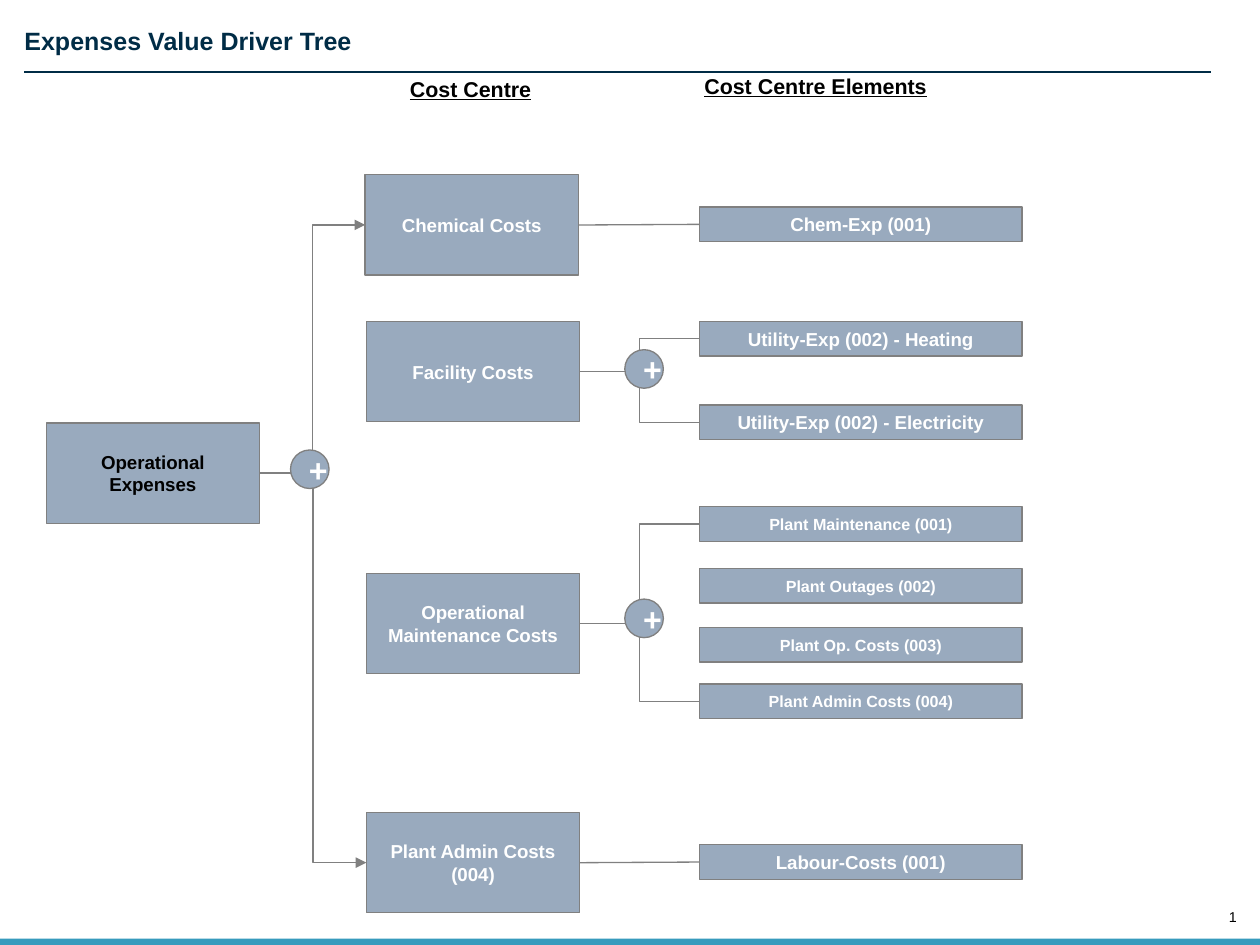
from pptx import Presentation
from pptx.dml.color import RGBColor
from pptx.enum.shapes import MSO_CONNECTOR, MSO_SHAPE
from pptx.enum.text import MSO_ANCHOR, PP_ALIGN
from pptx.oxml.ns import qn
from pptx.util import Inches, Pt
from lxml import etree

RECTANGLE, OVAL = MSO_SHAPE.RECTANGLE, MSO_SHAPE.OVAL
STRAIGHT, ELBOW = MSO_CONNECTOR.STRAIGHT, MSO_CONNECTOR.ELBOW
LEFT, CENTER, RIGHT = PP_ALIGN.LEFT, PP_ALIGN.CENTER, PP_ALIGN.RIGHT
TOP, MIDDLE, BOTTOM = MSO_ANCHOR.TOP, MSO_ANCHOR.MIDDLE, MSO_ANCHOR.BOTTOM

# Content
TITLE = "Expenses Value Driver Tree"
PAGE_NUMBER = "1"
HEADINGS = [("Cost Centre", 3.09, 0.54, 1.96), ("Cost Centre Elements", 5.38, 0.52, 2.19)]
ROOT = ("Operational Expenses", 0.36, 3.29)
# Cost centre: name, left, top, element type size, elements as (name, top)
COST_CENTRES = [
    ("Chemical Costs", 2.84, 1.36, "box", [("Chem-Exp (001)", 1.61)]),
    ("Facility Costs", 2.85, 2.5, "box", [
        ("Utility-Exp (002) - Heating", 2.5),
        ("Utility-Exp (002) - Electricity", 3.15)]),
    ("Operational Maintenance Costs", 2.85, 4.46, "small", [
        ("Plant Maintenance (001)", 3.94),
        ("Plant Outages (002)", 4.42),
        ("Plant Op. Costs (003)", 4.88),
        ("Plant Admin Costs (004)", 5.32)]),
    ("Plant Admin Costs (004)", 2.85, 6.32, "box", [("Labour-Costs (001)", 6.57)]),
]
PLUS_SIGNS = [(2.26, 3.5), (4.86, 2.72), (4.86, 4.66)]

# Layout and theme
SLIDE_WIDTH, SLIDE_HEIGHT = 9.8, 7.35
CENTRE_SIZE, ELEMENT_SIZE, PLUS_SIZE = (1.66, 0.78), (2.51, 0.27), (0.3, 0.3)
ELEMENT_LEFT = 5.44
LEFT_SITE, RIGHT_SITE = 1, 3
THEME = {
    "font": "Arial",
    "colors": {"navy": "002C46", "teal": "379BBD", "box": "99AABE",
               "line": "808080", "white": "FFFFFF", "black": "000000"},
    "sizes": {"title": 14, "heading": 12, "box": 10.5, "small": 9, "plus": 18, "page": 8},
    "line_width": 0.75,
}


def color(name):
    return RGBColor.from_string(THEME["colors"][name])


def write(shape, text, size, color_name, align=CENTER, anchor=MIDDLE,
          bold=True, underline=False, inset=True):
    frame = shape.text_frame
    frame.word_wrap = True
    frame.vertical_anchor = anchor
    if not inset:
        frame.margin_left = frame.margin_right = frame.margin_top = frame.margin_bottom = 0
    paragraph = frame.paragraphs[0]
    paragraph.alignment = align
    run = paragraph.add_run()
    run.text = text
    run.font.name = THEME["font"]
    run.font.size = Pt(THEME["sizes"][size])
    run.font.bold = bold
    if underline:
        run.font.underline = True
    run.font.color.rgb = color(color_name)


def add_text(slide, area, *content, **style):
    box = slide.shapes.add_textbox(*map(Inches, area))
    write(box, *content, **style)


def add_node(slide, kind, position, size, text, type_size, text_color="white"):
    shape = slide.shapes.add_shape(kind, *map(Inches, position + size))
    shape.shadow.inherit = False
    shape.fill.solid()
    shape.fill.fore_color.rgb = color("box")
    shape.line.color.rgb = color("line")
    shape.line.width = Pt(THEME["line_width"])
    write(shape, text, type_size, text_color)
    return shape


def add_line(slide, kind, start, end, color_name):
    connector = slide.shapes.add_connector(kind, *map(Inches, start + end))
    connector.line.color.rgb = color(color_name)
    connector.line.width = Pt(THEME["line_width"])
    etree.SubElement(connector._element.spPr, qn("a:effectLst"))
    return connector


def link(slide, kind, parent, child, arrow=False):
    connector = add_line(slide, kind, (0, 0), (0, 0), "line")
    connector.begin_connect(parent, RIGHT_SITE)
    connector.end_connect(child, LEFT_SITE)
    if arrow:
        line = connector.line._get_or_add_ln()
        etree.SubElement(line, qn("a:tailEnd"), type="triangle")


def add_frame(slide):
    add_text(slide, (0.19, 0.2, 9.56, 0.24), TITLE, "title", "navy",
             align=LEFT, anchor=TOP, inset=False)
    add_line(slide, STRAIGHT, (0.19, 0.56), (9.42, 0.56), "navy")
    for text, left, top, width in HEADINGS:
        add_text(slide, (left, top, width, 0.3), text, "heading", "black",
                 align=LEFT, anchor=TOP, underline=True)
    add_text(slide, (9.42, 7.07, 0.2, 0.13), PAGE_NUMBER, "page", "black",
             align=RIGHT, anchor=BOTTOM, bold=False, inset=False)
    bar = slide.shapes.add_shape(RECTANGLE, 0, Inches(7.3), Inches(SLIDE_WIDTH), Inches(0.05))
    bar.shadow.inherit = False
    bar.fill.solid()
    bar.fill.fore_color.rgb = color("teal")
    bar.line.fill.background()


def add_tree(slide):
    name, left, top = ROOT
    root = add_node(slide, RECTANGLE, (left, top), CENTRE_SIZE, name, "box", "black")
    for index, (name, left, top, type_size, elements) in enumerate(COST_CENTRES):
        centre = add_node(slide, RECTANGLE, (left, top), CENTRE_SIZE, name, "box")
        # The root branches to the first and last cost centre
        if index in (0, len(COST_CENTRES) - 1):
            link(slide, ELBOW, root, centre, arrow=True)
        nodes = [add_node(slide, RECTANGLE, (ELEMENT_LEFT, element_top), ELEMENT_SIZE,
                          element, type_size) for element, element_top in elements]
        # A group of elements is bracketed by its first and last member
        if len(nodes) == 1:
            link(slide, STRAIGHT, centre, nodes[0])
        else:
            for node in (nodes[0], nodes[-1]):
                link(slide, ELBOW, centre, node)
    for position in PLUS_SIGNS:
        add_node(slide, OVAL, position, PLUS_SIZE, "+", "plus")


def main():
    presentation = Presentation()
    presentation.slide_width = Inches(SLIDE_WIDTH)
    presentation.slide_height = Inches(SLIDE_HEIGHT)
    slide = presentation.slides.add_slide(presentation.slide_layouts[6])
    add_frame(slide)
    add_tree(slide)
    presentation.save("out.pptx")


if __name__ == "__main__":
    main()
